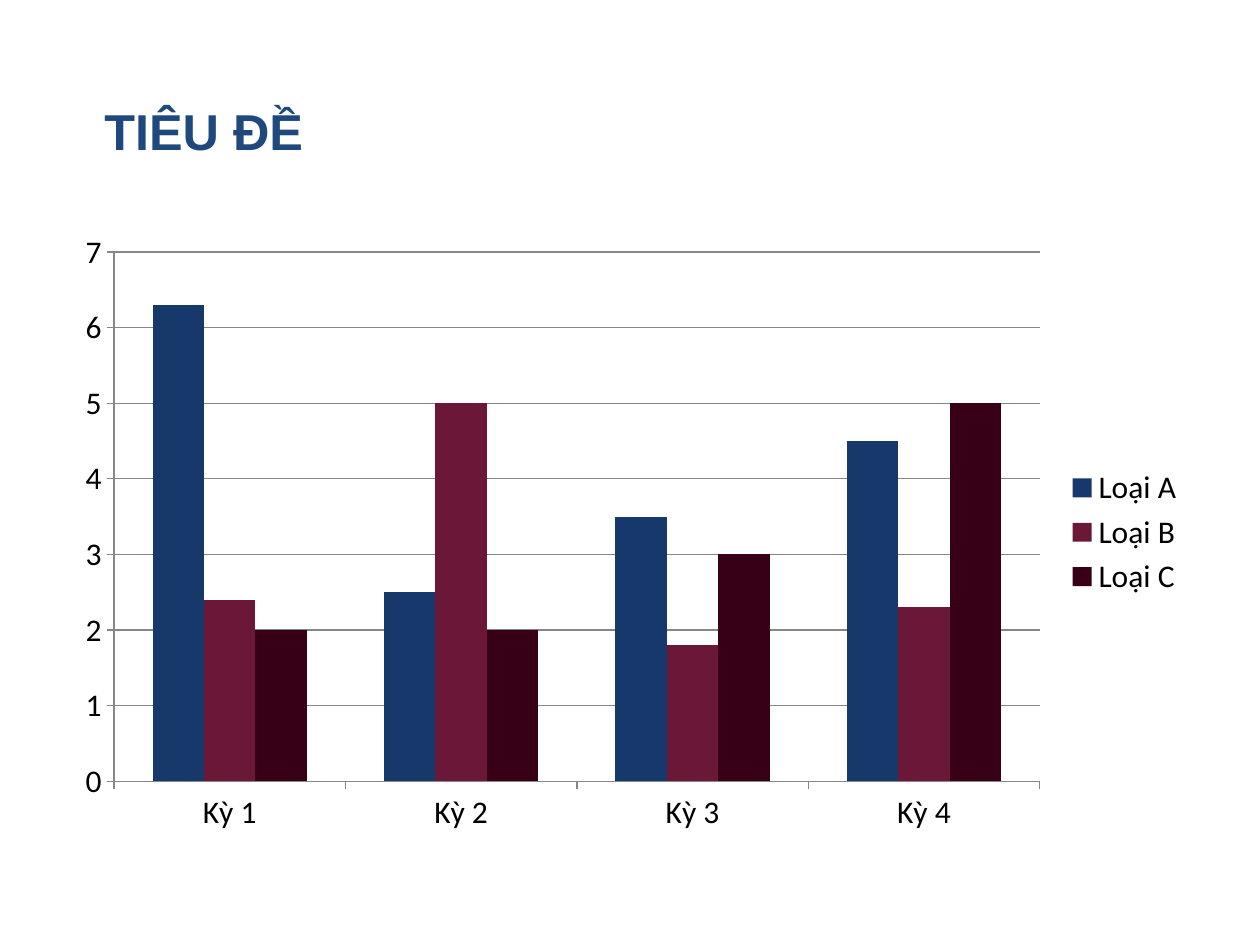
from pptx import Presentation
from pptx.chart.data import CategoryChartData
from pptx.dml.color import RGBColor
from pptx.enum.chart import XL_CHART_TYPE as ChartType
from pptx.enum.chart import XL_LEGEND_POSITION as LegendPosition
from pptx.enum.chart import XL_TICK_MARK as TickMark
from pptx.enum.text import MSO_ANCHOR as Anchor
from pptx.util import Inches, Pt

TITLE_BLUE = RGBColor(0x1F, 0x49, 0x7D)
BLACK = RGBColor(0, 0, 0)
AXIS_GREY = RGBColor(0x86, 0x86, 0x86)

TITLE = "tiêu đề"
PERIODS = ["Kỳ 1", "Kỳ 2", "Kỳ 3", "Kỳ 4"]
SERIES = [
    ("Loại A", (6.3, 2.5, 3.5, 4.5), RGBColor(0x17, 0x38, 0x6A)),
    ("Loại B", (2.4, 5, 1.8, 2.3), RGBColor(0x6A, 0x17, 0x38)),
    ("Loại C", (2, 2, 3, 5), RGBColor(0x38, 0x00, 0x17)),
]
TITLE_FONT = {"name": "Arial", "size": Pt(36), "bold": True}
CHART_FONT = {"name": "Calibri", "size": Pt(18), "bold": False}


def set_font(font, values, color):
    for name, value in values.items():
        setattr(font, name, value)
    font.color.rgb = color


def add_title(page):
    box = page.shapes.add_textbox(Inches(0.73), Inches(0.57), Inches(5.76), Inches(0.85))
    frame = box.text_frame
    frame.word_wrap = True
    frame.vertical_anchor = Anchor.MIDDLE
    span = frame.paragraphs[0].add_run()
    span.text = TITLE
    set_font(span.font, TITLE_FONT, TITLE_BLUE)
    span._r.get_or_add_rPr().set("cap", "small")


def add_period_chart(page):
    data = CategoryChartData()
    data.categories = PERIODS
    for name, values, _ in SERIES:
        data.add_series(name, values)
    chart = page.shapes.add_chart(
        ChartType.COLUMN_CLUSTERED,
        Inches(0.5), Inches(1.75), Inches(9), Inches(4.95), data,
    ).chart
    chart.has_title = False
    set_font(chart.font, CHART_FONT, BLACK)

    chart.has_legend = True
    chart.legend.position = LegendPosition.RIGHT
    chart.legend.include_in_layout = False

    plot = chart.plots[0]
    plot.gap_width = 150
    plot.overlap = 0
    plot.vary_by_categories = False
    for series, (_, _, color) in zip(plot.series, SERIES):
        series.format.fill.solid()
        series.format.fill.fore_color.rgb = color

    value_axis = chart.value_axis
    value_axis.minimum_scale = 0
    value_axis.maximum_scale = 7
    value_axis.major_unit = 1
    value_axis.has_major_gridlines = True
    for axis in (chart.category_axis, value_axis):
        axis.major_tick_mark = TickMark.OUTSIDE
        axis.minor_tick_mark = TickMark.NONE
    for part in (chart.category_axis, value_axis, value_axis.major_gridlines):
        part.format.line.color.rgb = AXIS_GREY
        part.format.line.width = Pt(0.75)


def main():
    deck = Presentation()
    deck.slide_width, deck.slide_height = Inches(10), Inches(7.5)
    page = deck.slides.add_slide(deck.slide_layouts[6])
    add_title(page)
    add_period_chart(page)
    deck.save("out.pptx")


if __name__ == "__main__":
    main()
